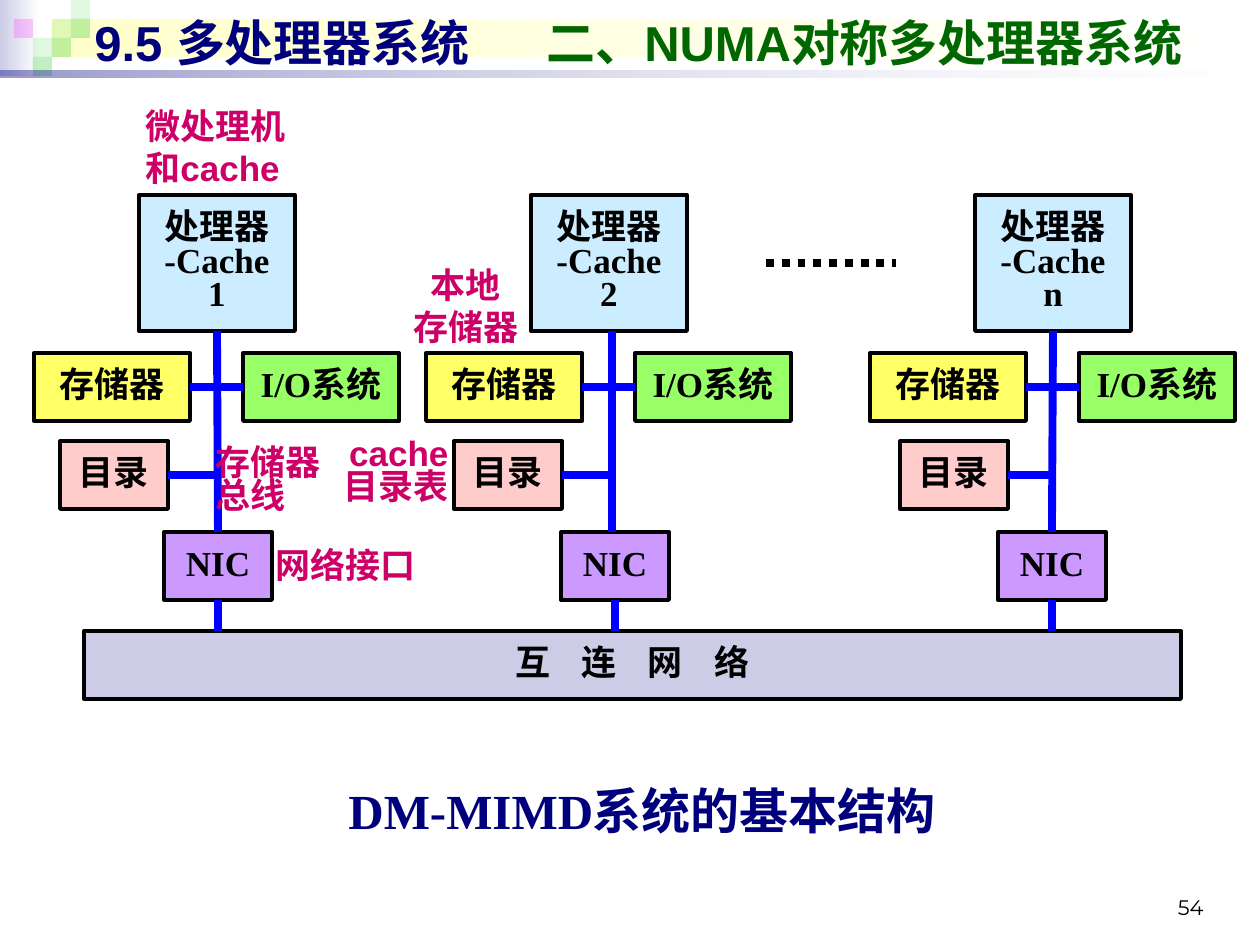
from pptx import Presentation
from pptx.dml.color import RGBColor
from pptx.enum.dml import MSO_LINE
from pptx.enum.shapes import MSO_CONNECTOR, MSO_SHAPE
from pptx.enum.text import MSO_ANCHOR, PP_ALIGN
from pptx.oxml.ns import qn
from pptx.util import Emu, Pt
from lxml.etree import SubElement

PX = 914400 / 126
BLACK = RGBColor(0x00, 0x00, 0x00)
WHITE = RGBColor(0xFF, 0xFF, 0xFF)
NAVY = RGBColor(0x00, 0x00, 0x7D)
BLUE = RGBColor(0x00, 0x00, 0xFF)
DARK = RGBColor(0x00, 0x66, 0x00)
GREEN = RGBColor(0x33, 0xCC, 0x33)
PINK = RGBColor(0xFF, 0x00, 0xFF)
ROSE = RGBColor(0xCC, 0x00, 0x66)
LILAC = RGBColor(0xCC, 0xCC, 0xE6)
CREAM = RGBColor(0xFF, 0xFF, 0xCC)
SKY = RGBColor(0xCC, 0xEC, 0xFF)
LIME = RGBColor(0x99, 0xFF, 0x66)
YELLOW = RGBColor(0xFF, 0xFF, 0x66)
BLUSH = RGBColor(0xFF, 0xCC, 0xCC)
VIOLET = RGBColor(0xCC, 0x99, 0xFF)
SERIF, SANS, HAN = "Times New Roman", "Arial", "Noto Sans CJK SC"
LEFT, MID, RIGHT = PP_ALIGN.LEFT, PP_ALIGN.CENTER, PP_ALIGN.RIGHT


def px(*nums):
    return [Emu(round(n * PX)) for n in nums]


def style(run, face, size, color, bold=True):
    font = run.font
    font.name, font.size, font.bold = face, Pt(size), bold
    font.color.rgb = color
    SubElement(run._r.get_or_add_rPr(), qn("a:ea"), typeface=HAN)


def write(frame, text, face, size, color, align=MID, gap=None, bold=True):
    frame.word_wrap = True
    frame.text = text
    for para in frame.paragraphs:
        para.alignment, para.line_spacing = align, gap
        for run in para.runs:
            style(run, face, size, color, bold)


def plain(slide, box):
    shape = slide.shapes.add_shape(MSO_SHAPE.RECTANGLE, *px(*box))
    shape.shadow.inherit = False
    shape.line.fill.background()
    return shape


def fade(shape, *alphas):
    for color, alpha in zip(shape._element.spPr.iter(qn("a:srgbClr")), alphas):
        SubElement(color, qn("a:alpha"), val=str(alpha * 1000))


def blend(slide, box, color):
    shape = plain(slide, box)
    shape.fill.gradient()
    shape.fill.gradient_angle = 0
    for stop, tone, place in zip(shape.fill.gradient_stops, (color, WHITE), (0, 1)):
        stop.color.rgb, stop.position = tone, place
    return shape


def block(slide, box, fill, text):
    shape = plain(slide, box)
    shape.fill.solid()
    shape.fill.fore_color.rgb = fill
    shape.line.color.rgb, shape.line.width = BLACK, Pt(2.25)
    shape.text_frame.vertical_anchor = MSO_ANCHOR.MIDDLE
    write(shape.text_frame, text, SERIF, 20, BLACK, gap=0.8)
    return shape


def link(slide, start, end, color=BLUE):
    line = slide.shapes.add_connector(MSO_CONNECTOR.STRAIGHT, *px(*start, *end))
    line.line.color.rgb, line.line.width = color, Pt(4.5)
    SubElement(line._element.spPr, qn("a:effectLst"))
    return line


def label(slide, box, text, align=LEFT, gap=None):
    frame = slide.shapes.add_textbox(*px(*box)).text_frame
    write(frame, text, SANS, 20, ROSE, align, gap)


def header(slide, x, y):
    blend(slide, (x, y, 39, 76), LILAC)
    blend(slide, (x + 52, y + 19, 1203, 38), CREAM)
    side = 19
    tiles = [(2, 1, GREEN, 15), (3, 0, GREEN, 15), (3, 1, GREEN, 30), (1, 2, GREEN, 15),
             (0, 1, PINK, 20), (2, 2, GREEN, 30), (1, 3, GREEN, 30)]
    for col, row, color, alpha in tiles:
        tile = plain(slide, (x + 14 + col * side, y + row * side, side, side))
        tile.fill.solid()
        tile.fill.fore_color.rgb = color
        fade(tile, alpha)
    fade(blend(slide, (x, y + 71, 1260, 7), NAVY), 40, 10)

    frame = slide.shapes.add_textbox(*px(x + 82, y + 6, 1154, 72)).text_frame
    frame.word_wrap = True
    frame.vertical_anchor = MSO_ANCHOR.MIDDLE
    para = frame.paragraphs[0]
    tabs = SubElement(para._p.get_or_add_pPr(), qn("a:tabLst"))
    SubElement(tabs, qn("a:tab"), pos=str(px(452)[0]), algn="l")
    for text, color in (("9.5 多处理器系统\t", NAVY), ("二、NUMA对称多处理器系统", DARK)):
        run = para.add_run()
        run.text = text
        style(run, SANS, 28, color)


def node(slide, x, y, name, shelf, port, trunk):
    cpu = block(slide, (x + 105, y, 156, 136), SKY, f"处理器\n-Cache\n{name}")
    store = block(slide, (x, y + 158, 156, 68), YELLOW, "存储器")
    device = block(slide, (x + 209, y + 158, 156, 68), LIME, "I/O系统")
    index = block(slide, (x + shelf, y + 246, 108, 68), BLUSH, "目录")
    nic = block(slide, (x + port, y + 337, 108, 68), VIOLET, "NIC")

    stem = link(slide, (x + trunk, y + 136), (x + trunk, y + 337))
    if abs(port + 54 - 183) < 2:
        stem.begin_connect(cpu, 2)
        stem.end_connect(nic, 0)
    bus = link(slide, (x + 156, y + 192), (x + 209, y + 192))
    bus.begin_connect(store, 3)
    bus.end_connect(device, 1)
    branch = link(slide, (x + shelf + 108, y + 280), (x + trunk, y + 280))
    branch.begin_connect(index, 3)
    drop = link(slide, (x + port + 54, y + 405), (x + port + 54, y + 436))
    drop.begin_connect(nic, 2)


def network(slide, box):
    bar = block(slide, box, LILAC, "互 连 网 络")
    for run in bar.text_frame.paragraphs[0].runs:
        run._r.get_or_add_rPr().set("spc", "660")


def notes(slide, x, y):
    label(slide, (x + 133, y, 179, 97), "微处理机\v和cache")
    label(slide, (x + 392, y + 159, 148, 97), "本地\v存储器", MID)
    label(slide, (x + 302, y + 335, 159, 81), "cache\v目录表", RIGHT, 0.8)
    label(slide, (x + 263, y + 439, 179, 54), "网络接口")
    label(slide, (x + 203, y + 344, 148, 81), "存储器总线", gap=0.8)


def caption(slide, box):
    frame = slide.shapes.add_textbox(*px(*box)).text_frame
    frame.margin_left = frame.margin_right = frame.margin_top = frame.margin_bottom = 0
    frame.vertical_anchor = MSO_ANCHOR.MIDDLE
    write(frame, "DM-MIMD系统的基本结构", SERIF, 28, NAVY, gap=0.8)


def footer(slide, box):
    frame = slide.shapes.add_textbox(*px(*box)).text_frame
    frame.vertical_anchor = MSO_ANCHOR.BOTTOM
    write(frame, "54", "Montserrat", 12, BLACK, RIGHT, bold=False)


def main():
    deck = Presentation()
    deck.slide_width, deck.slide_height = px(1260, 945)
    slide = deck.slides.add_slide(deck.slide_layouts[6])
    header(slide, 0, 0)
    network(slide, (84, 631, 1097, 68))
    nodes = [(34, "1", 26, 130, 184), (426, "2", 28, 135, 186), (870, "n", 30, 128, 183)]
    for x, name, shelf, port, trunk in nodes:
        node(slide, x, 195, name, shelf, port, trunk)
    dots = link(slide, (766, 263), (896, 263), BLACK)
    dots.line.dash_style = MSO_LINE.ROUND_DOT
    notes(slide, 0, 98)
    caption(slide, (282, 792, 720, 47))
    footer(slide, (903, 861, 313, 65))
    deck.save("out.pptx")


if __name__ == "__main__":
    main()
